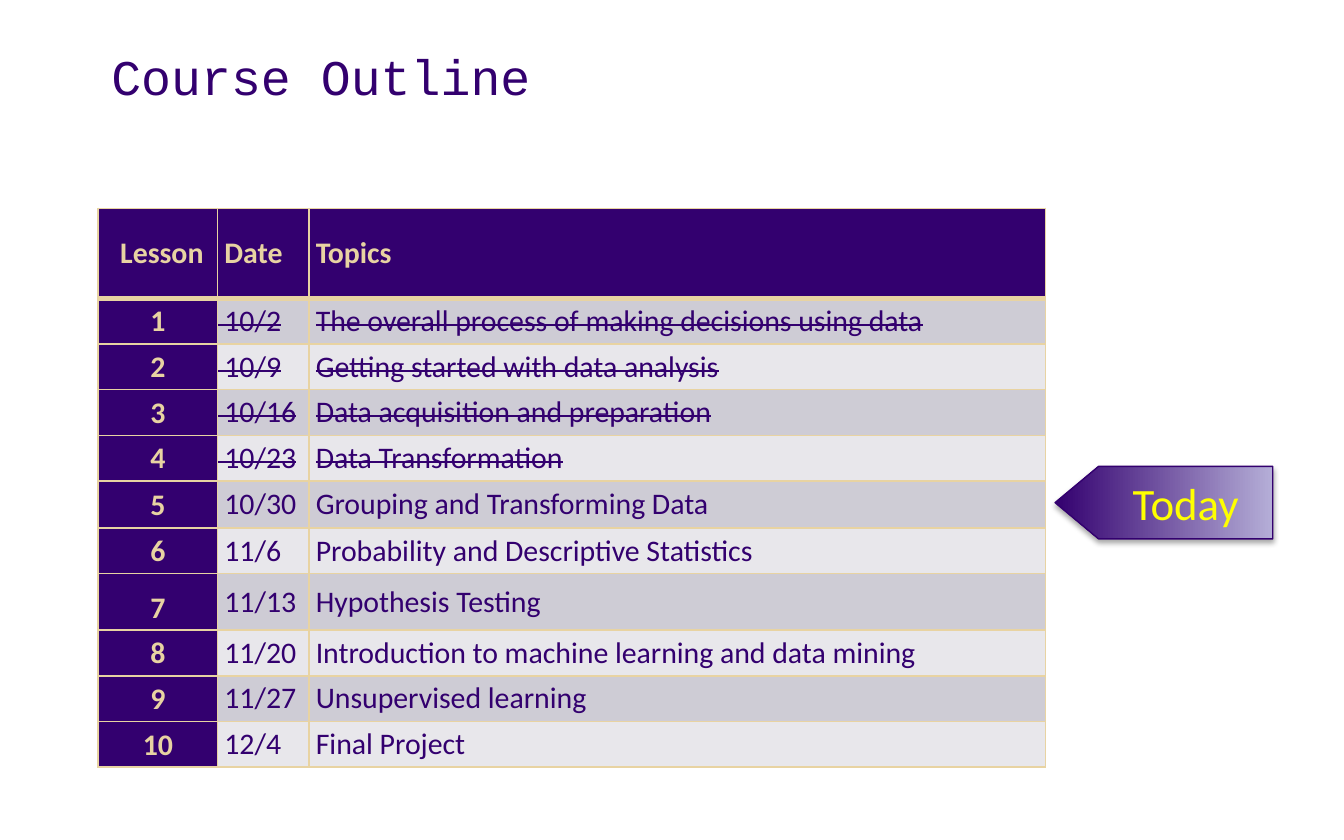
from dataclasses import dataclass

from lxml.etree import SubElement
from pptx import Presentation
from pptx.dml.color import RGBColor
from pptx.enum.shapes import MSO_SHAPE
from pptx.enum.text import MSO_ANCHOR, PP_ALIGN
from pptx.oxml.ns import qn
from pptx.util import Inches, Pt


@dataclass(frozen=True)
class Theme:
    purple: str = "33006F"
    lavender: str = "B5AED7"
    gold: str = "E8D3A2"
    yellow: str = "FFFF00"
    odd_band: str = "CECCD5"
    even_band: str = "E8E7EB"
    shadow: str = "000000"
    title_font: str = "Courier New"
    body_font: str = "Calibri"
    title_size: float = 26.7
    table_size: float = 16
    marker_size: float = 24
    thin_line: float = 1
    header_line: float = 3
    marker_line: float = 0.75


NBSP = chr(160)
HEADINGS = ("Lesson", "Date", "Topics")
LESSONS = [
    ("10/2", "The overall process of making decisions using data"),
    ("10/9", "Getting started with data analysis"),
    ("10/16", "Data acquisition and preparation"),
    ("10/23", "Data Transformation"),
    ("10/30", "Grouping and Transforming Data"),
    ("11/6", "Probability and Descriptive Statistics"),
    ("11/13", "Hypothesis Testing"),
    ("11/20", "Introduction to machine learning and data mining"),
    ("11/27", "Unsupervised learning"),
    ("12/4", "Final Project"),
]
LESSONS_DONE = 4
COLUMN_WIDTHS = (0.89, 0.68, 5.48)
HEADER_HEIGHT, LESSON_HEIGHT = 0.67, 0.34
TALLER_LESSONS = {5: 0.35, 7: 0.42}


class OutlineSlide:
    def __init__(self, slide, theme):
        self.slide = slide
        self.theme = theme

    def label(self, paragraph, text, size, color, font=None, bold=False, strike=False):
        run = paragraph.add_run()
        run.text = text
        paragraph.font.name = font or self.theme.body_font
        paragraph.font.size = Pt(size)
        paragraph.font.bold = bold
        paragraph.font.color.rgb = RGBColor.from_string(color)
        if strike:
            run.font._element.set("strike", "sngStrike")

    def title(self, text, left, top, width, height):
        box = self.slide.shapes.add_textbox(
            Inches(left), Inches(top), Inches(width), Inches(height))
        box.text_frame.word_wrap = True
        paragraph = box.text_frame.paragraphs[0]
        paragraph.line_spacing = 0.9
        paragraph.space_before = Pt(0.2 * self.theme.title_size)
        self.label(paragraph, text, self.theme.title_size, self.theme.purple,
                   self.theme.title_font)

    def border(self, cell, side, width):
        line = SubElement(cell._tc.get_or_add_tcPr(), qn(f"a:ln{side}"), w=str(Pt(width)))
        fill = SubElement(line, qn("a:solidFill"))
        SubElement(fill, qn("a:srgbClr"), val=self.theme.gold)

    def cell(self, cell, text, row, column):
        theme = self.theme
        is_header, is_lesson, is_date = row == 0, column == 0, column == 1
        thick_side = {0: "B", 1: "T"}.get(row)
        for side in "LRTB":
            self.border(cell, side,
                        theme.header_line if side == thick_side else theme.thin_line)

        emphasized = is_header or is_lesson
        band = theme.odd_band if row % 2 else theme.even_band
        cell.fill.solid()
        cell.fill.fore_color.rgb = RGBColor.from_string(
            theme.purple if emphasized else band)

        cell.margin_left = cell.margin_right = Inches(0 if is_date else 0.05)
        cell.margin_top = cell.margin_bottom = Inches(0 if is_date else 0.03)
        if is_header and is_lesson:
            cell.margin_left = Inches(0.11)
        bottom = is_lesson and not is_header
        cell.vertical_anchor = MSO_ANCHOR.BOTTOM if bottom else MSO_ANCHOR.MIDDLE

        paragraph = cell.text_frame.paragraphs[0]
        paragraph.alignment = PP_ALIGN.CENTER if is_lesson else PP_ALIGN.LEFT
        self.label(paragraph, NBSP + text if is_date else text, theme.table_size,
                   theme.gold if emphasized else theme.purple, bold=emphasized,
                   strike=not emphasized and row <= LESSONS_DONE)

    def schedule(self, left, top):
        heights = [HEADER_HEIGHT] + [
            TALLER_LESSONS.get(number, LESSON_HEIGHT)
            for number in range(1, len(LESSONS) + 1)]
        rows = [HEADINGS] + [
            (str(number), *lesson) for number, lesson in enumerate(LESSONS, 1)]
        table = self.slide.shapes.add_table(
            len(rows), len(HEADINGS), Inches(left), Inches(top),
            Inches(sum(COLUMN_WIDTHS)), Inches(sum(heights))).table
        table.horz_banding = False
        for column, width in zip(table.columns, COLUMN_WIDTHS):
            column.width = Inches(width)
        for row, (texts, height) in enumerate(zip(rows, heights)):
            table.rows[row].height = Inches(height)
            for column, text in enumerate(texts):
                self.cell(table.cell(row, column), text, row, column)

    def soft_shadow(self, shape):
        shape.shadow.inherit = False
        effects = shape._element.spPr.find(qn("a:effectLst"))
        shadow = SubElement(effects, qn("a:outerShdw"), blurRad=str(Pt(3.1)),
                            dist=str(Pt(1.8)), dir="5400000", rotWithShape="0")
        color = SubElement(shadow, qn("a:srgbClr"), val=self.theme.shadow)
        SubElement(color, qn("a:alpha"), val="35000")

    def marker(self, text, left, top, width, height):
        """Add a pentagon turned to point left, with its text kept upright."""
        theme = self.theme
        pointer = self.slide.shapes.add_shape(
            MSO_SHAPE.FLOWCHART_OFFPAGE_CONNECTOR,
            Inches(left), Inches(top), Inches(width), Inches(height))
        pointer.rotation = 90
        pointer.fill.gradient()
        pointer.fill.gradient_angle = 90
        for stop, color in zip(pointer.fill.gradient_stops,
                               (theme.purple, theme.lavender)):
            stop.color.rgb = RGBColor.from_string(color)
        pointer.line.color.rgb = RGBColor.from_string(theme.purple)
        pointer.line.width = Pt(theme.marker_line)
        self.soft_shadow(pointer)

        frame = pointer.text_frame
        frame.vertical_anchor = MSO_ANCHOR.MIDDLE
        frame._txBody.bodyPr.set("vert", "vert270")
        frame.paragraphs[0].alignment = PP_ALIGN.CENTER
        self.label(frame.paragraphs[0], text, theme.marker_size, theme.yellow)


def main():
    presentation = Presentation()
    presentation.slide_width = Inches(10)
    presentation.slide_height = Inches(6.25)
    blank = presentation.slide_layouts[6]
    outline = OutlineSlide(presentation.slides.add_slide(blank), Theme())
    outline.title("Course Outline", 0.73, 0.34, 8.95, 0.9)
    outline.schedule(0.73, 1.55)
    outline.marker("Today", 8.39, 2.93, 0.54, 1.62)
    presentation.save("out.pptx")


if __name__ == "__main__":
    main()
